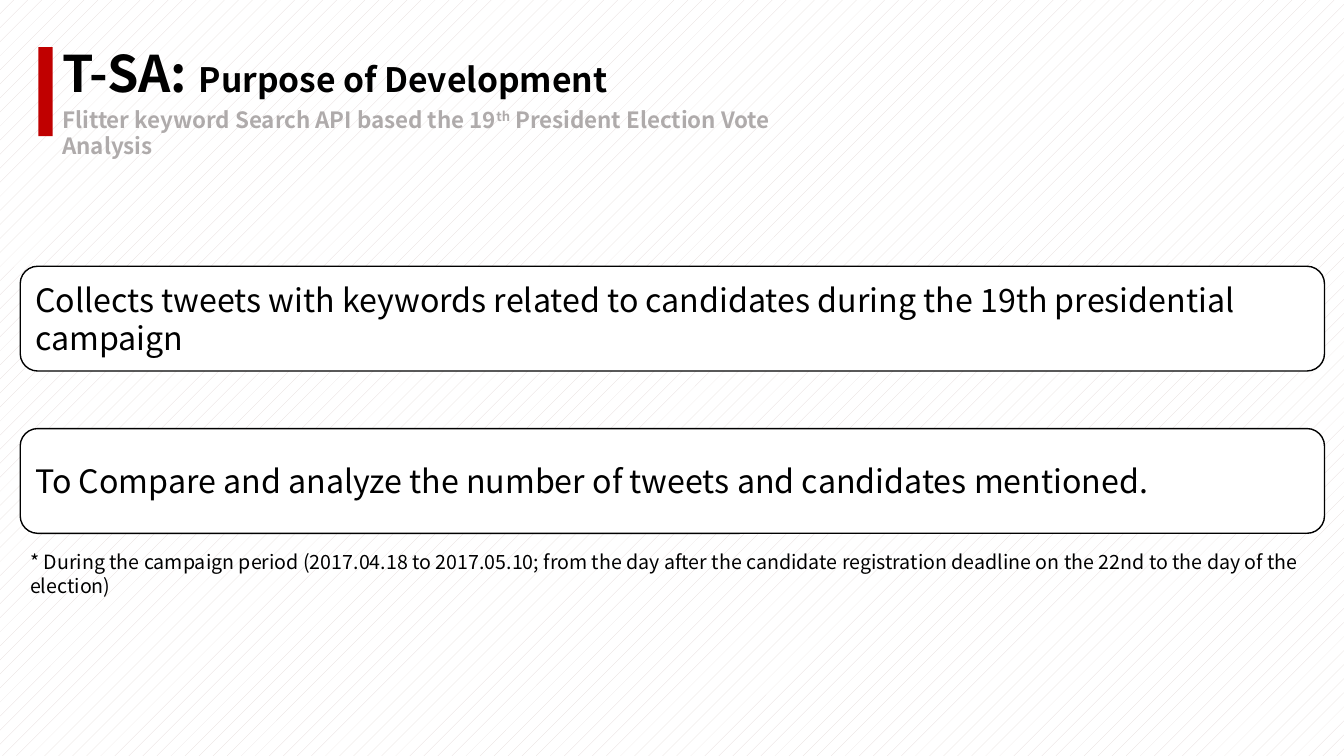
from pptx import Presentation
from pptx.dml.color import RGBColor
from pptx.enum.dml import MSO_PATTERN
from pptx.enum.shapes import MSO_SHAPE
from pptx.enum.text import MSO_ANCHOR, MSO_AUTO_SIZE, PP_ALIGN
from pptx.util import Cm, Pt

COLORS = {
    "accent": "C00000",
    "text": "000000",
    "muted": "AFABAB",
    "paper": "FFFFFF",
    "hatch": "E3D9D7",
}
FONT = "Noto Sans CJK KR"
MARGIN, CONTENT_WIDTH = 0.51, 32.87
HEADING_LEFT = 1.32
GOAL_TOP, GOAL_STEP, GOAL_HEIGHT = 6.71, 4.09, 2.64
GOALS = [
    "Collects tweets with keywords related to candidates during the 19th presidential campaign",
    "To Compare and analyze the number of tweets and candidates mentioned.",
]
CAMPAIGN_NOTE = (
    "* During the campaign period (2017.04.18 to 2017.05.10; from the day after the "
    "candidate registration deadline on the 22nd to the day of the election)"
)


def rgb(name):
    return RGBColor.from_string(COLORS[name])


def style_paragraph(paragraph, size, color="text", bold=False):
    paragraph.alignment = PP_ALIGN.LEFT
    font = paragraph.font
    font.name, font.size, font.bold = FONT, Pt(size), bold
    font.color.rgb = rgb(color)


def add_block(slide, preset, box, fill, outline=None):
    block = slide.shapes.add_shape(preset, *map(Cm, box))
    block.shadow.inherit = False
    block.fill.solid()
    block.fill.fore_color.rgb = rgb(fill)
    if outline:
        block.line.color.rgb = rgb(outline)
        block.line.width = Pt(1)
    else:
        block.line.fill.background()
    return block


def add_text(slide, box, texts, size, color="text", bold=False):
    frame = slide.shapes.add_textbox(*map(Cm, box)).text_frame
    frame.word_wrap = True
    frame.auto_size = MSO_AUTO_SIZE.SHAPE_TO_FIT_TEXT
    paragraph = frame.paragraphs[0]
    style_paragraph(paragraph, size, color, bold)
    for text in texts:
        paragraph.add_run().text = text
    return paragraph.runs


def add_heading(slide):
    add_block(slide, MSO_SHAPE.RECTANGLE, (0.97, 1.19, 0.36, 2.24), "accent")
    system, topic = add_text(
        slide, (HEADING_LEFT, 0.94, 19.53, 1.78),
        ["T-SA: ", "Purpose of Development"], 36, bold=True)
    topic.font.size = Pt(24)


def add_subtitle(slide):
    lead, ordinal, rest = add_text(
        slide, (HEADING_LEFT, 2.54, 18.82, 0.94),
        ["Flitter keyword Search API based the 19", "th", " President Election Vote Analysis"],
        16, "muted", bold=True)
    ordinal._r.get_or_add_rPr().set("baseline", "30000")


def add_goal(slide, top, text):
    goal = add_block(
        slide, MSO_SHAPE.ROUNDED_RECTANGLE,
        (MARGIN, top, CONTENT_WIDTH, GOAL_HEIGHT), "paper", "text")
    frame = goal.text_frame
    frame.word_wrap = True
    frame.vertical_anchor = MSO_ANCHOR.MIDDLE
    frame.text = text
    style_paragraph(frame.paragraphs[0], 23)


def set_background(slide):
    fill = slide.background.fill
    fill.patterned()
    fill.pattern = MSO_PATTERN.PERCENT_5
    fill.fore_color.rgb = rgb("hatch")
    fill.back_color.rgb = rgb("paper")


def main():
    presentation = Presentation()
    presentation.slide_width, presentation.slide_height = Cm(33.87), Cm(19.05)
    slide = presentation.slides.add_slide(presentation.slide_layouts[6])
    set_background(slide)
    add_heading(slide)
    add_subtitle(slide)
    for index, goal in enumerate(GOALS):
        add_goal(slide, GOAL_TOP + index * GOAL_STEP, goal)
    add_text(slide, (MARGIN, 13.74, CONTENT_WIDTH, 0.86), [CAMPAIGN_NOTE], 14)
    presentation.save("out.pptx")


if __name__ == "__main__":
    main()
